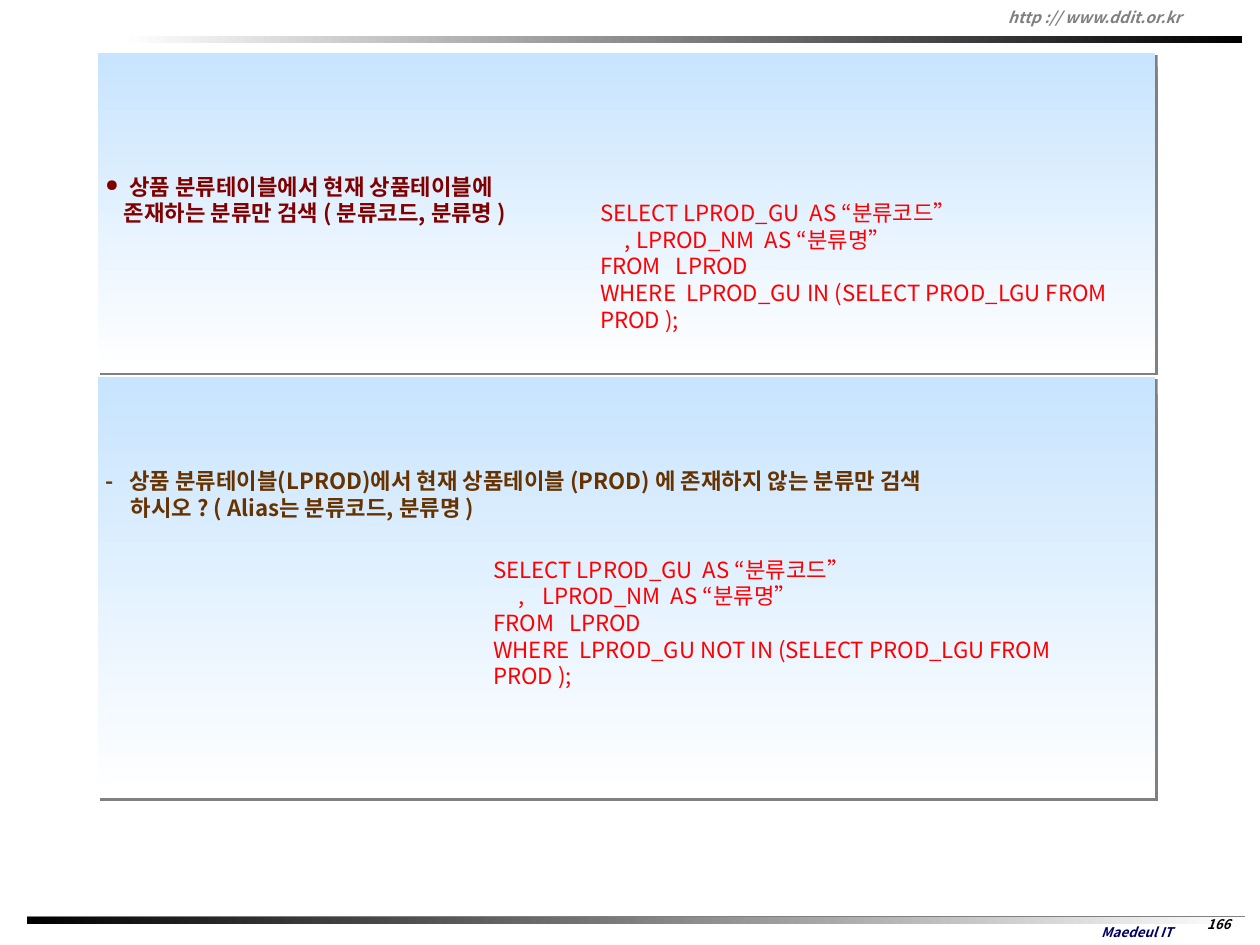
import pptx
import pptx.dml.color
import pptx.enum.shapes
import pptx.enum.text
import pptx.oxml
import pptx.oxml.ns
import pptx.util
from pptx.util import Cm, Pt

RGBColor = pptx.dml.color.RGBColor
Anchor = pptx.enum.text.MSO_ANCHOR
Align = pptx.enum.text.PP_ALIGN

BLACK = RGBColor(0x00, 0x00, 0x00)
WHITE = RGBColor(0xFF, 0xFF, 0xFF)
GRAY = RGBColor(0x80, 0x80, 0x80)
NAVY = RGBColor(0x00, 0x00, 0x66)
SKY = RGBColor(0xC8, 0xE4, 0xFE)
MAROON = RGBColor(0x80, 0x00, 0x00)
BROWN = RGBColor(0x66, 0x33, 0x00)
RED = RGBColor(0xFF, 0x00, 0x00)

QUERY_INDENT = 1.55


class QuizPage:
    font_name = "Noto Sans CJK KR"

    def __init__(self, deck):
        self.shapes = deck.slides.add_slide(deck.slide_layouts[6]).shapes

    def append_xml(self, parent, tag, content="", **attributes):
        """Append one DrawingML element, with optional inner XML."""
        listed = "".join(f' {name}="{value}"' for name, value in attributes.items())
        namespace = pptx.oxml.ns.nsdecls("a")
        parent.append(pptx.oxml.parse_xml(
            f"<a:{tag} {namespace}{listed}>{content}</a:{tag}>"))

    def style(self, paragraph, size, color, bold=False, italic=False):
        font = paragraph.font
        font.name, font.size = self.font_name, Pt(size)
        font.bold, font.italic = bold, italic
        font.color.rgb = color
        properties = paragraph._p.get_or_add_pPr()
        defaults = properties.find(pptx.oxml.ns.qn("a:defRPr"))
        self.append_xml(defaults, "ea", typeface=self.font_name)

    def gradient(self, left, top, width, height, start, end, angle=0):
        shape = self.shapes.add_shape(
            pptx.enum.shapes.MSO_SHAPE.RECTANGLE,
            Cm(left), Cm(top), Cm(width), Cm(height))
        shape.shadow.inherit = False
        shape.line.fill.background()
        shape.fill.gradient()
        shape.fill.gradient_angle = angle
        for stop, color in zip(shape.fill.gradient_stops, (start, end)):
            stop.color.rgb = color
        return shape

    def rule(self, left, top, right):
        line = self.shapes.add_connector(
            pptx.enum.shapes.MSO_CONNECTOR.STRAIGHT,
            Cm(left), Cm(top), Cm(right), Cm(top))
        line.line.color.rgb = GRAY
        line.line.width = Pt(1.5)
        self.append_xml(line._element.spPr, "effectLst")

    def label(self, left, top, width, height, text, size, color, align=Align.CENTER):
        frame = self.shapes.add_textbox(
            Cm(left), Cm(top), Cm(width), Cm(height)).text_frame
        frame.word_wrap = True
        frame.vertical_anchor = Anchor.MIDDLE
        paragraph = frame.paragraphs[0]
        paragraph.text, paragraph.alignment = text, align
        self.style(paragraph, size, color, bold=True, italic=True)

    def question(self, top, height, text_top, lines, color, indents, bullet=None):
        """Draw a shadowed panel; each line has its own left indent in cm."""
        panel = self.gradient(3.1, top, 33.58, height, SKY, WHITE, angle=270)
        effects = panel._element.spPr.find(pptx.oxml.ns.qn("a:effectLst"))
        self.append_xml(effects, "outerShdw", f'<a:srgbClr val="{GRAY}"/>',
                        dist=Pt(2.8), dir=45 * 60000, algn="ctr", rotWithShape=0)
        frame = panel.text_frame
        frame.word_wrap = True
        frame.vertical_anchor = Anchor.TOP
        frame.margin_left = frame.margin_right = Cm(0.25)
        frame.margin_top = Cm(text_top)
        frame.text = "\n".join(lines)
        for number, (paragraph, indent) in enumerate(zip(frame.paragraphs, indents)):
            properties = paragraph._p.get_or_add_pPr()
            properties.set("marL", str(Cm(indent)))
            properties.set("indent", str(0 if number else -Cm(indent)))
            if bullet and number == 0:
                self.append_xml(properties, "buSzPct", val=75000)
                self.append_xml(properties, "buChar", char=bullet)
            paragraph.alignment = Align.LEFT
            paragraph.line_spacing = Pt(24)
            self.style(paragraph, 20, color, bold=True)

    def query(self, left, top, width, lines):
        frame = self.shapes.add_textbox(
            Cm(left), Cm(top), Cm(width), Cm(3.68)).text_frame
        frame.word_wrap = True
        frame.text = "\n".join(lines)
        for paragraph in frame.paragraphs:
            self.append_xml(paragraph._p.get_or_add_pPr(), "tabLst",
                            f'<a:tab pos="{Cm(QUERY_INDENT)}" algn="l"/>')
            paragraph.line_spacing = Pt(24)
            self.style(paragraph, 20, RED)


def main():
    deck = pptx.Presentation()
    deck.slide_width, deck.slide_height = Cm(40), Cm(30)
    page = QuizPage(deck)

    page.rule(0.86, 29.11, 39.52)
    page.gradient(0.86, 29.11, 38.66, 0.23, BLACK, WHITE)
    page.label(33.68, 29.16, 4.83, 0.84, "Maedeul IT", 12, NAVY)
    page.gradient(3.86, 1.14, 35.56, 0.23, WHITE, BLACK)
    page.label(31.75, 0.05, 8.15, 0.97, "http :// www.ddit.or.kr", 14, GRAY, Align.LEFT)
    page.label(37.79, 28.93, 1.8, 0.79, "166", 12, BLACK)

    page.question(1.68, 10.16, 3.81, [
        "상품 분류테이블에서 현재 상품테이블에",
        "존재하는 분류만 검색 ( 분류코드, 분류명 )",
    ], MAROON, (0.76, 0.58), bullet="●")
    page.question(11.96, 13.39, 2.87, [
        "-\t상품 분류테이블(LPROD)에서 현재 상품테이블 (PROD) 에 존재하지 않는 분류만 검색",
        "하시오 ? ( Alias는 분류코드, 분류명 )",
    ], BROWN, (0.76, 0.8))

    page.query(18.8, 6.2, 17.6, [
        "SELECT LPROD_GU  AS “분류코드”",
        "     , LPROD_NM  AS “분류명”",
        "FROM   LPROD",
        "WHERE  LPROD_GU IN (SELECT PROD_LGU FROM PROD );",
    ])
    page.query(15.41, 17.52, 19.02, [
        "SELECT LPROD_GU  AS “분류코드”",
        "     ,\tLPROD_NM  AS “분류명”",
        "FROM   LPROD",
        "WHERE  LPROD_GU NOT IN (SELECT PROD_LGU FROM PROD );",
    ])
    deck.save("out.pptx")


if __name__ == "__main__":
    main()
